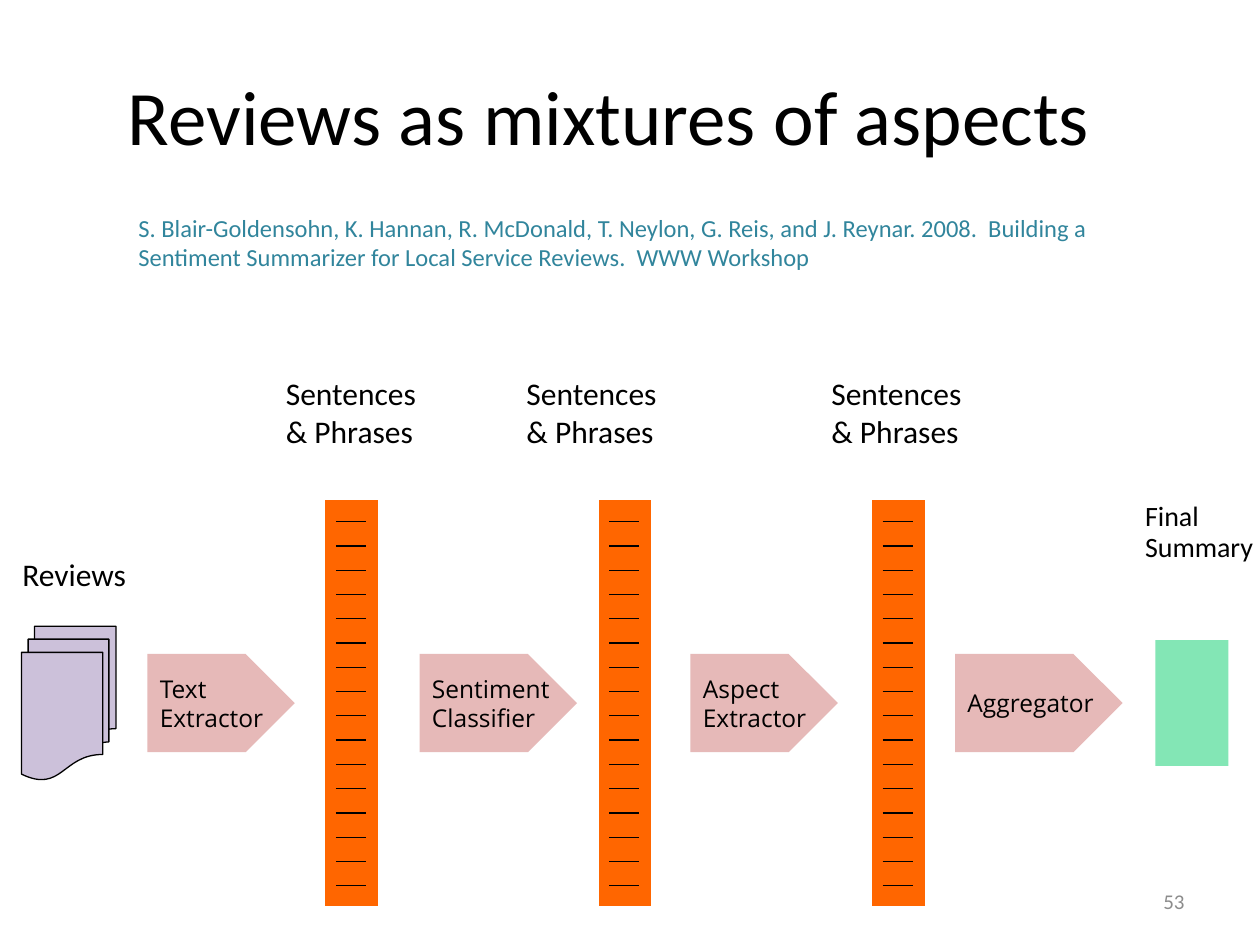
from dataclasses import dataclass

from lxml.etree import SubElement
from pptx import Presentation
from pptx.dml.color import RGBColor
from pptx.enum.shapes import MSO_CONNECTOR as Line, MSO_SHAPE as Shape
from pptx.enum.text import MSO_ANCHOR as Anchor, PP_ALIGN as Align
from pptx.oxml.ns import qn
from pptx.util import Inches, Pt


@dataclass(frozen=True)
class Theme:
    body_font: str = "Calibri"
    step_font: str = "Open Sans"
    ink: str = "000000"
    citation: str = "31859C"
    muted: str = "8C8C8C"
    reviews: str = "CCC1DA"
    summary: str = "83E6B5"
    ladder: str = "FF6600"
    step: str = "E6B9B8"
    title_size: float = 44
    label_size: float = 18
    summary_size: float = 16
    small_size: float = 14
    number_size: float = 12
    line_width: float = 0.75


THEME = Theme()


@dataclass(frozen=True)
class Box:
    left: float
    top: float
    width: float
    height: float

    def lengths(self) -> tuple:
        return tuple(Inches(v) for v in (self.left, self.top, self.width, self.height))


@dataclass(frozen=True)
class Label:
    box: Box
    lines: tuple[str, ...]
    size: float = THEME.label_size
    color: str = THEME.ink
    align: Align = Align.LEFT
    anchor: Anchor = Anchor.TOP
    wrap: bool = False
    spacing: float = 1.0


@dataclass(frozen=True)
class Step:
    left: float
    width: float
    lines: tuple[str, ...]


LADDER_TOP, LADDER_WIDTH, LADDER_HEIGHT = 3.97, 0.42, 3.22
RUNG_COUNT, RUNG_INSET, RUNG_WIDTH = 16, 0.085, 0.24
FIRST_RUNG, LAST_RUNG = 4.14, 7.03
STEP_TOP, STEP_HEIGHT = 5.19, 0.78
LADDERS = (2.58, 4.75, 6.92)
PHRASE_LABELS = (2.17, 4.08, 6.5)

STEPS = (
    Step(1.17, 1.17, ("Text", "Extractor")),
    Step(3.33, 1.25, ("Sentiment", "Classifier")),
    Step(5.48, 1.17, ("Aspect", "Extractor")),
    Step(7.58, 1.33, ("Aggregator",)),
)

LABELS = (
    Label(Box(0.75, 0.19, 8.17, 1.44), ("Reviews as mixtures of aspects",),
          THEME.title_size, align=Align.CENTER, anchor=Anchor.MIDDLE, wrap=True),
    Label(Box(1, 1.64, 8.16, 0.57),
          ("S. Blair-Goldensohn, K. Hannan, R. McDonald, T. Neylon, G. Reis, and "
           "J. Reynar. 2008.  Building a Sentiment Summarizer for Local Service "
           "Reviews.  WWW Workshop",),
          THEME.small_size, THEME.citation, wrap=True),
    Label(Box(0.08, 4.36, 1.03, 0.4), ("Reviews",)),
    Label(Box(8.99, 3.94, 1.07, 0.59), ("Final", "Summary"),
          THEME.summary_size, spacing=0.9),
    Label(Box(7.17, 6.95, 2.33, 0.4), ("53",), THEME.number_size, THEME.muted,
          Align.RIGHT, Anchor.MIDDLE, True),
    *(Label(Box(left, 2.92, 1.25, 0.71), ("Sentences", "& Phrases"))
      for left in PHRASE_LABELS),
)


def rgb(color: str) -> RGBColor:
    return RGBColor.from_string(color)


def write(sp, label: Label, font: str) -> None:
    tf = sp.text_frame
    tf.word_wrap = label.wrap
    tf.vertical_anchor = label.anchor
    for i, line in enumerate(label.lines):
        p = tf.add_paragraph() if i else tf.paragraphs[0]
        p.alignment = label.align
        p.line_spacing = label.spacing
        r = p.add_run()
        r.text = line
        r.font.name = font
        r.font.size = Pt(label.size)
        r.font.color.rgb = rgb(label.color)


def add_label(shapes, label: Label) -> None:
    write(shapes.add_textbox(*label.box.lengths()), label, THEME.body_font)


def add_block(shapes, kind: Shape, box: Box, fill: str, outlined: bool = False):
    sp = shapes.add_shape(kind, *box.lengths())
    sp.shadow.inherit = False
    sp.fill.solid()
    sp.fill.fore_color.rgb = rgb(fill)
    if outlined:
        sp.line.color.rgb = rgb(THEME.ink)
        sp.line.width = Pt(THEME.line_width)
    else:
        sp.line.fill.background()
    return sp


def add_rung(shapes, left: float, y: float) -> None:
    line = shapes.add_connector(Line.STRAIGHT, Inches(left), Inches(y),
                                Inches(left + RUNG_WIDTH), Inches(y))
    line.line.color.rgb = rgb(THEME.ink)
    line.line.width = Pt(THEME.line_width)
    SubElement(line._element.spPr, qn("a:effectLst"))


def add_ladder(shapes, left: float) -> None:
    group = shapes.add_group_shape().shapes
    add_block(group, Shape.FLOWCHART_PROCESS,
              Box(left, LADDER_TOP, LADDER_WIDTH, LADDER_HEIGHT), THEME.ladder)
    gap = (LAST_RUNG - FIRST_RUNG) / (RUNG_COUNT - 1)
    for i in range(RUNG_COUNT):
        add_rung(group, left + RUNG_INSET, FIRST_RUNG + i * gap)


def add_step(shapes, step: Step) -> None:
    box = Box(step.left, STEP_TOP, step.width, STEP_HEIGHT)
    sp = add_block(shapes, Shape.PENTAGON, box, THEME.step)
    write(sp, Label(box, step.lines, THEME.small_size, anchor=Anchor.MIDDLE),
          THEME.step_font)


def main() -> None:
    """Build the review summarization pipeline slide."""
    prs = Presentation()
    prs.slide_width, prs.slide_height = Inches(10), Inches(7.5)
    shapes = prs.slides.add_slide(prs.slide_layouts[6]).shapes
    add_block(shapes, Shape.FLOWCHART_MULTIDOCUMENT, Box(0.17, 4.97, 0.75, 1.22),
              THEME.reviews, outlined=True)
    add_block(shapes, Shape.RECTANGLE, Box(9.17, 5.08, 0.58, 1), THEME.summary)
    for left in LADDERS:
        add_ladder(shapes, left)
    for label in LABELS:
        add_label(shapes, label)
    for step in STEPS:
        add_step(shapes, step)
    prs.save("out.pptx")


if __name__ == "__main__":
    main()
